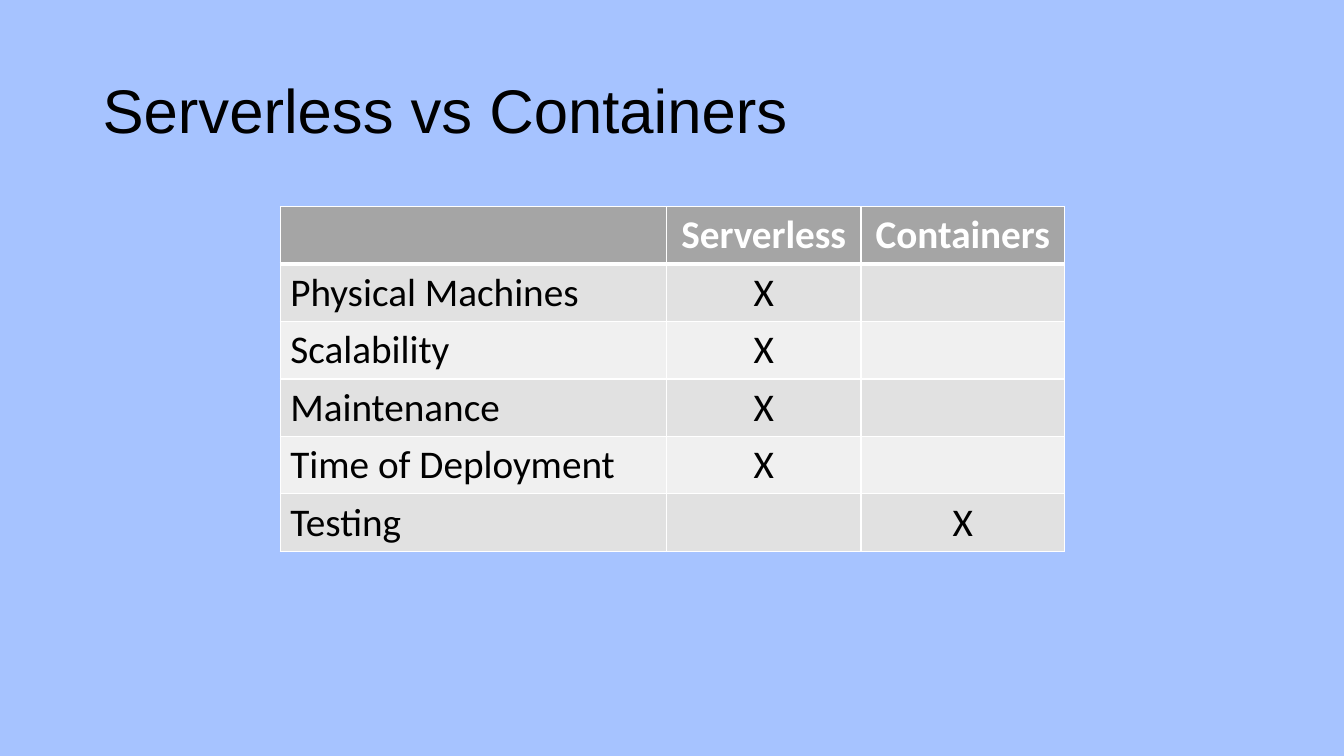
from dataclasses import dataclass

from lxml import etree
from pptx import Presentation
from pptx.dml.color import RGBColor
from pptx.enum.text import MSO_ANCHOR, PP_ALIGN
from pptx.oxml.ns import qn
from pptx.slide import Slide
from pptx.table import _Cell
from pptx.text.text import _Paragraph
from pptx.util import Inches, Pt

LEFT, CENTER = PP_ALIGN.LEFT, PP_ALIGN.CENTER
MIDDLE = MSO_ANCHOR.MIDDLE

BLACK, WHITE = "000000", "FFFFFF"
BACKGROUND = "A6C3FF"
HEADER_FILL = "A5A5A5"
BAND_FILLS = ("E1E1E1", "F0F0F0")
COLUMN_WIDTHS = (3.83, 1.93, 2.02)
ROW_HEIGHT = 0.57


@dataclass(frozen=True)
class Comparison:
    topic: str
    serverless: str = ""
    containers: str = ""


HEADER = Comparison("", "Serverless", "Containers")
COMPARISONS = (
    Comparison("Physical Machines", serverless="X"),
    Comparison("Scalability", serverless="X"),
    Comparison("Maintenance", serverless="X"),
    Comparison("Time of Deployment", serverless="X"),
    Comparison("Testing", containers="X"),
)


def color(value: str) -> RGBColor:
    return RGBColor.from_string(value)


def add_span(para: _Paragraph, text: str, font: str, size: int,
             text_color: str, bold: bool = False) -> None:
    span = para.add_run()
    span.text = text
    span.font.name = font
    span.font.size = Pt(size)
    span.font.bold = bold
    span.font.color.rgb = color(text_color)


def set_borders(cell: _Cell, top: int, bottom: int) -> None:
    """Draw white borders; top and bottom widths are in points."""
    properties = cell._tc.get_or_add_tcPr()
    widths = {"a:lnL": 1, "a:lnR": 1, "a:lnT": top, "a:lnB": bottom}
    for tag, width in widths.items():
        line = etree.SubElement(properties, qn(tag), w=str(Pt(width)))
        fill = etree.SubElement(line, qn("a:solidFill"))
        etree.SubElement(fill, qn("a:srgbClr"), val=WHITE)


def add_title(page: Slide, text: str) -> None:
    box = page.shapes.add_textbox(Inches(0.92), Inches(0.4), Inches(11.5), Inches(1.45))
    frame = box.text_frame
    frame.word_wrap = True
    frame.vertical_anchor = MIDDLE
    para = frame.paragraphs[0]
    para.line_spacing = 0.9
    add_span(para, text, "Arial", 44, BLACK)


def add_comparison_table(page: Slide) -> None:
    rows = (HEADER, *COMPARISONS)
    table = page.shapes.add_table(
        len(rows), len(COLUMN_WIDTHS), Inches(2.78), Inches(2.05),
        Inches(sum(COLUMN_WIDTHS)), Inches(ROW_HEIGHT * len(rows))).table
    for column, width in zip(table.columns, COLUMN_WIDTHS):
        column.width = Inches(width)

    for row_index, row in enumerate(rows):
        is_header = row_index == 0
        fill = HEADER_FILL if is_header else BAND_FILLS[(row_index - 1) % 2]
        texts = (row.topic, row.serverless, row.containers)
        for column_index, text in enumerate(texts):
            cell = table.cell(row_index, column_index)
            set_borders(cell, top=3 if row_index == 1 else 1, bottom=3 if is_header else 1)
            cell.fill.solid()
            cell.fill.fore_color.rgb = color(fill)
            if text:
                para = cell.text_frame.paragraphs[0]
                para.alignment = CENTER if column_index else LEFT
                add_span(para, text, "Calibri", 28, WHITE if is_header else BLACK, is_header)


def main() -> None:
    deck = Presentation()
    deck.slide_width, deck.slide_height = Inches(13.33), Inches(7.5)
    page = deck.slides.add_slide(deck.slide_layouts[6])
    page.background.fill.solid()
    page.background.fill.fore_color.rgb = color(BACKGROUND)
    add_title(page, "Serverless vs Containers")
    add_comparison_table(page)
    deck.save("out.pptx")


if __name__ == "__main__":
    main()
